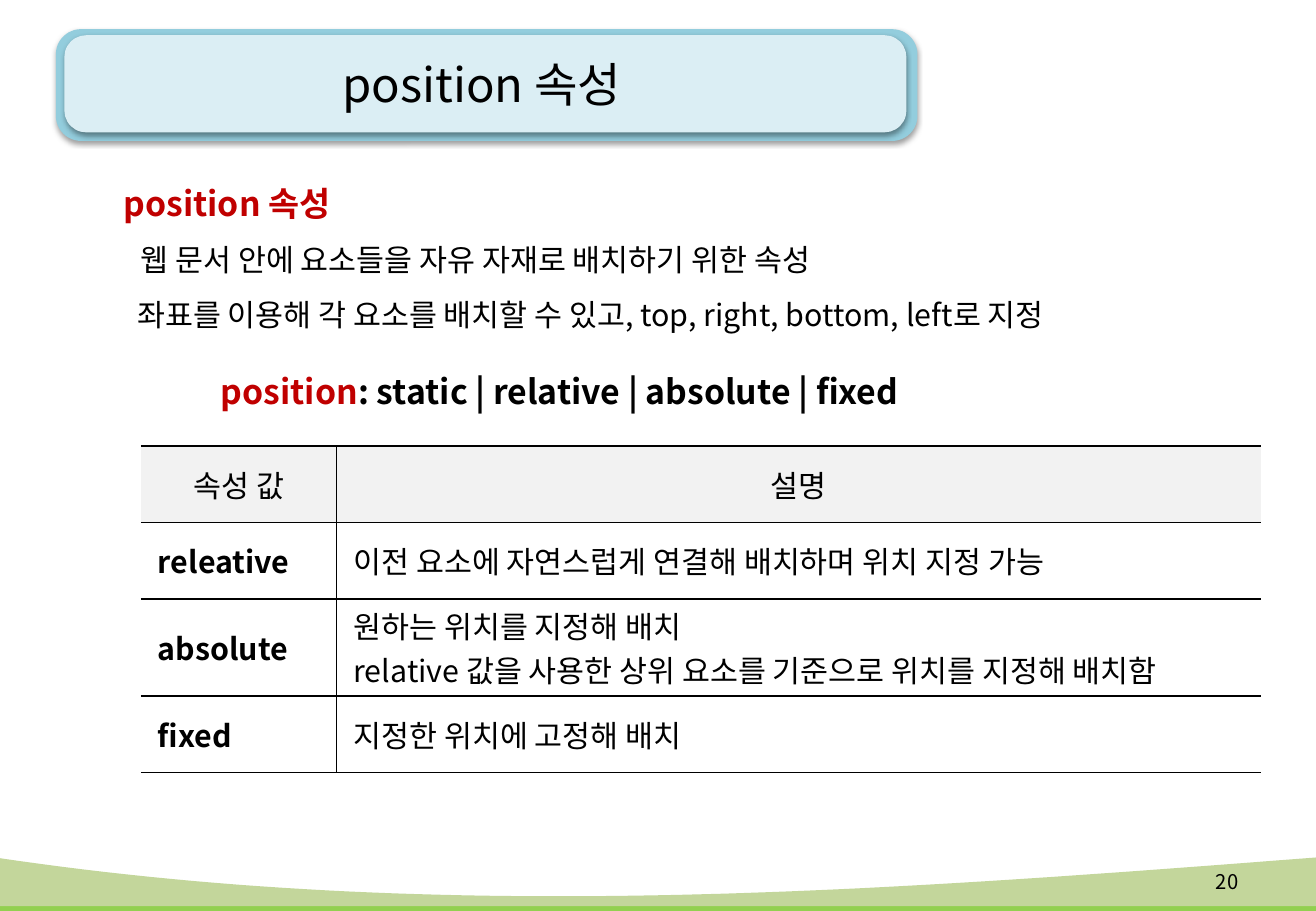
from lxml import etree
from pptx import Presentation
from pptx.dml.color import RGBColor
from pptx.enum.shapes import MSO_SHAPE
from pptx.enum.text import MSO_ANCHOR, PP_ALIGN
from pptx.oxml import parse_xml
from pptx.oxml.ns import nsdecls, qn
from pptx.util import Inches, Pt

LEFT, CENTER, RIGHT = PP_ALIGN.LEFT, PP_ALIGN.CENTER, PP_ALIGN.RIGHT
TOP, MIDDLE = MSO_ANCHOR.TOP, MSO_ANCHOR.MIDDLE
ROUNDED = MSO_SHAPE.ROUNDED_RECTANGLE

THEME = {
    "font": "Noto Sans CJK KR",
    "black": "000000", "red": "C00000", "header": "F2F2F2",
    "frame": "93CDDD", "panel": "DBEEF4", "grass": "92D050", "hill": "C3D69B",
    "title": 28, "heading": 20, "body": 18, "small": 12,
}

# Content: a line is (indent in inches, spans); a span is (text, size, colour, bold)
WIDTH, HEIGHT = 10.83, 7.5
TITLE = [(0, [("position 속성", "title", "black", False)])]
PAGE_NUMBER = [(0, [("20", "small", "black", False)])]
INTRO = [
    (0.15, [("position 속성", "heading", "red", True)]),
    (0.29, [("웹 문서 안에 요소들을 자유 자재로 배치하기 위한 속성", "body", "black", False)]),
    (0.26, [("좌표를 이용해 각 요소를 배치할 수 있고, top, right, bottom, left로 지정",
             "body", "black", False)]),
]
SYNTAX = [(0, [("position", "heading", "red", True),
               (": static | relative | absolute | fixed", "heading", "black", True)])]
TABLE = [
    ("속성 값", ["설명"]),
    ("releative", ["이전 요소에 자연스럽게 연결해 배치하며 위치 지정 가능"]),
    ("absolute", ["원하는 위치를 지정해 배치",
                  "relative 값을 사용한 상위 요소를 기준으로 위치를 지정해 배치함"]),
    ("fixed", ["지정한 위치에 고정해 배치"]),
]
COLUMN_WIDTHS = [1.61, 7.61]
ROW_HEIGHTS = [0.63, 0.63, 0.8, 0.63]

# Waves: colour, the four control heights of the curve, bottom edge
WAVE_X = [-0.04, 3.64, 7.19, WIDTH]
HILL = ("hill", [7.06, 7.61, 7.34, 7.06], 7.46)
GRASS = ("grass", [7.24, 7.6, 7.43, 7.24], HEIGHT)
WAVE_STEPS = 60


def color(name):
    return RGBColor.from_string(THEME[name])


def paint(shape, name):
    shape.fill.solid()
    shape.fill.fore_color.rgb = color(name)
    shape.line.fill.background()
    shape.shadow.inherit = False


def bezier(points, t):
    a, b, c, d = points
    u = 1 - t
    return u**3 * a + 3 * u * u * t * b + 3 * u * t * t * c + t**3 * d


def add_wave(page, name, heights, bottom):
    steps = [i / WAVE_STEPS for i in range(WAVE_STEPS + 1)]
    curve = [(Inches(bezier(WAVE_X, t)), Inches(bezier(heights, t))) for t in steps]
    corners = [(Inches(x), Inches(bottom)) for x in (WAVE_X[-1], WAVE_X[0])]
    builder = page.shapes.build_freeform(*curve[0])
    builder.add_line_segments(curve[1:] + corners, close=True)
    paint(builder.convert_to_shape(), name)


def add_panel(page, area, name):
    panel = page.shapes.add_shape(ROUNDED, *map(Inches, area))
    panel.adjustments[0] = 0.225
    paint(panel, name)
    effects = panel._element.spPr.find(qn("a:effectLst"))
    effects.append(parse_xml(
        f'<a:outerShdw {nsdecls("a")} blurRad="{Pt(3.1)}" dist="{Pt(1.6)}" '
        'dir="5400000" rotWithShape="0"><a:srgbClr val="000000">'
        '<a:alpha val="38000"/></a:srgbClr></a:outerShdw>'))


def write(frame, lines, align=LEFT, spacing=1.0):
    for index, (indent, spans) in enumerate(lines):
        para = frame.add_paragraph() if index else frame.paragraphs[0]
        para.alignment = align
        para.line_spacing = spacing
        if indent:
            para._p.get_or_add_pPr().set("marL", str(Inches(indent)))
        for text, size, tint, bold in spans:
            span = para.add_run()
            span.text = text
            span.font.size = Pt(THEME[size])
            span.font.bold = bold
            span.font.color.rgb = color(tint)
            span.font.name = THEME["font"]
            east_asian = etree.SubElement(span._r.get_or_add_rPr(), qn("a:ea"))
            east_asian.set("typeface", THEME["font"])


def add_text(page, area, lines, align=LEFT, anchor=TOP, spacing=1.0):
    frame = page.shapes.add_textbox(*map(Inches, area)).text_frame
    frame.word_wrap = True
    frame.vertical_anchor = anchor
    write(frame, lines, align, spacing)


def set_borders(cell, drawn):
    properties = cell._tc.get_or_add_tcPr()
    for position, side in enumerate("LRTB"):
        fill = (f'<a:solidFill><a:srgbClr val="{THEME["black"]}"/></a:solidFill>'
                if side in drawn else "<a:noFill/>")
        properties.insert(position, parse_xml(
            f'<a:ln{side} {nsdecls("a")} w="{Pt(1)}">{fill}</a:ln{side}>'))


def add_value_table(page, left, top):
    table = page.shapes.add_table(
        len(TABLE), len(COLUMN_WIDTHS), Inches(left), Inches(top),
        Inches(sum(COLUMN_WIDTHS)), Inches(sum(ROW_HEIGHTS))).table
    table.first_row = table.horz_banding = False
    for column, width in zip(table.columns, COLUMN_WIDTHS):
        column.width = Inches(width)
    for r, (value, description) in enumerate(TABLE):
        table.rows[r].height = Inches(ROW_HEIGHTS[r])
        header = r == 0
        for c, texts in enumerate([[value], description]):
            cell = table.cell(r, c)
            cell.vertical_anchor = MIDDLE
            cell.margin_left = Inches(0.1 if header else 0.14)
            cell.margin_top = cell.margin_bottom = Inches(0.03)
            if header:
                cell.fill.solid()
                cell.fill.fore_color.rgb = color("header")
            else:
                cell.fill.background()
            set_borders(cell, "LTB" if c else "RTB")
            bold = c == 0 and not header
            write(cell.text_frame, [(0, [(text, "body", "black", bold)]) for text in texts],
                  CENTER if header else LEFT)


def main():
    deck = Presentation()
    deck.slide_width, deck.slide_height = Inches(WIDTH), Inches(HEIGHT)
    page = deck.slides.add_slide(deck.slide_layouts[6])

    # Background waves and title panel
    add_wave(page, *GRASS)
    add_panel(page, (0.46, 0.24, 7.09, 0.92), "frame")
    add_panel(page, (0.53, 0.29, 6.93, 0.8), "panel")
    add_wave(page, *HILL)

    # Title, page number and body
    add_text(page, (0.46, 0.22, 7.01, 0.94), TITLE, CENTER, MIDDLE)
    add_text(page, (9.68, 7.06, 0.61, 0.4), PAGE_NUMBER, RIGHT, MIDDLE)
    add_text(page, (0.77, 1.29, 8.82, 1.57), INTRO, spacing=1.5)
    add_value_table(page, 1.16, 3.67)
    add_text(page, (1.72, 3, 5.98, 0.44), SYNTAX)

    deck.save("out.pptx")


if __name__ == "__main__":
    main()
